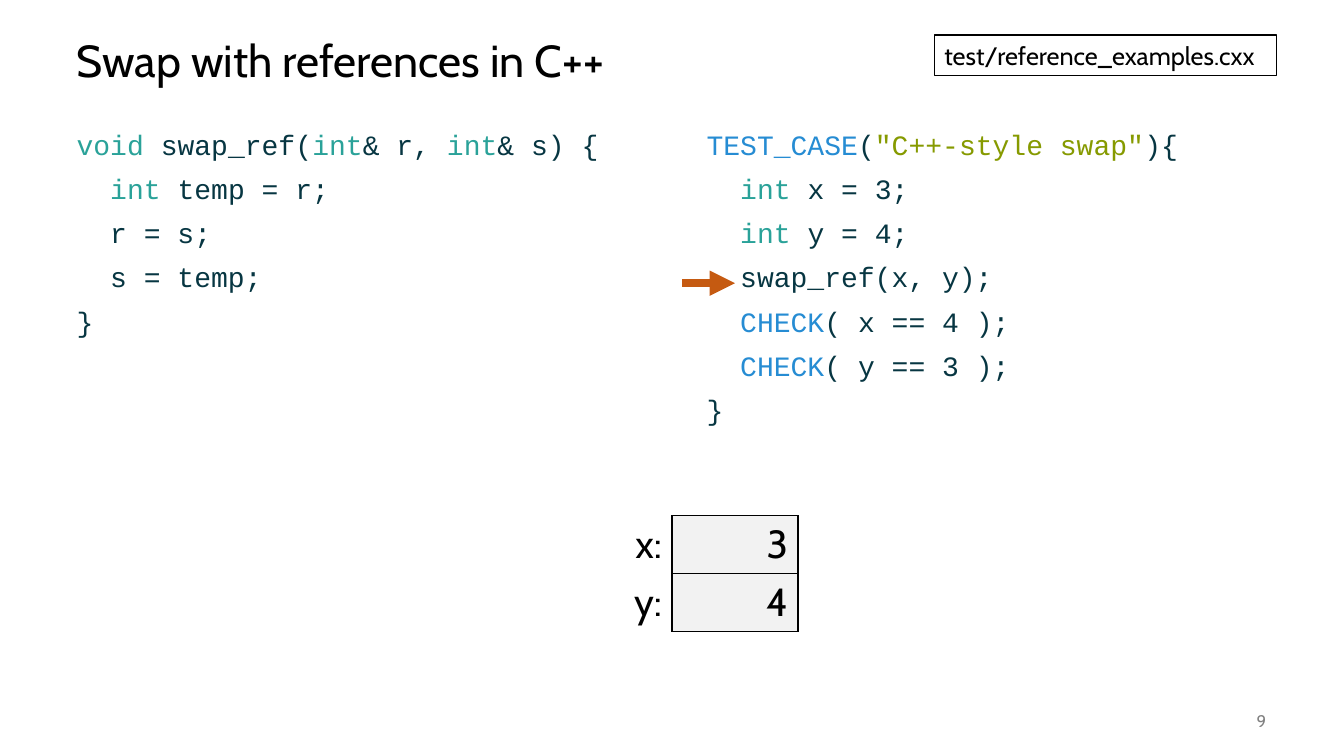
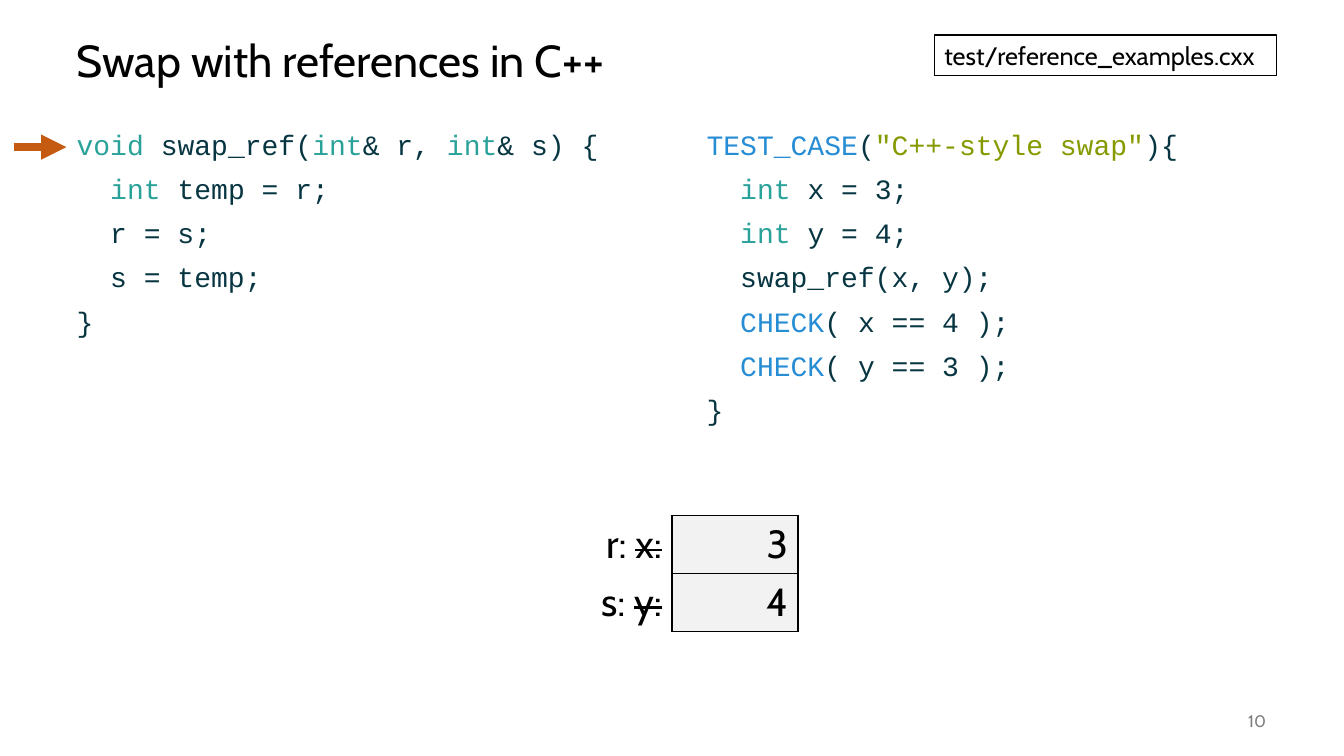
from dataclasses import dataclass

from lxml import etree
from pptx import Presentation
from pptx.dml.color import RGBColor
from pptx.enum.shapes import MSO_CONNECTOR, MSO_SHAPE
from pptx.enum.text import MSO_ANCHOR, MSO_AUTO_SIZE, PP_ALIGN
from pptx.oxml.ns import qn
from pptx.util import Pt

STRAIGHT, RECT = MSO_CONNECTOR.STRAIGHT, MSO_SHAPE.RECTANGLE
TOP, MIDDLE = MSO_ANCHOR.TOP, MSO_ANCHOR.MIDDLE
LEFT, RIGHT = PP_ALIGN.LEFT, PP_ALIGN.RIGHT
NO_TABLE_STYLE = "{2D5ABB26-0587-4C30-8999-92F81FD0307C}"


@dataclass(frozen=True)
class Theme:
    font: str = "Cabin"
    code_font: str = "Courier New"
    ink: str = "000000"
    muted: str = "808080"
    cell: str = "F2F2F2"
    arrow: str = "C55A11"
    code: str = "073642"
    keyword: str = "2AA299"
    macro: str = "268CD3"
    string: str = "869A00"
    title_size: int = 32
    value_size: int = 28
    code_size: int = 20
    file_size: int = 18
    number_size: int = 12


THEME = Theme()

# Content: each code line is a list of (text, colour role) pieces
TITLE = "Swap with references in C++"
FILE_NAME = "test/reference_examples.cxx"
FIRST_NUMBER = 9
SWAP_CODE = [
    [("void ", "keyword"), ("swap_ref(", "code"), ("int", "keyword"),
     ("& r, ", "code"), ("int", "keyword"), ("& s) {", "code")],
    [("  int ", "keyword"), ("temp = r;", "code")],
    [("  r = s;", "code")],
    [("  s = temp;", "code")],
    [("}", "code")],
]
TEST_CODE = [
    [("TEST_CASE", "macro"), ("(", "code"),
     ('"C++‑style swap"', "string"), ("){", "code")],
    [("  int ", "keyword"), ("x = 3;", "code")],
    [("  int ", "keyword"), ("y = 4;", "code")],
    [("  swap_ref(x, y);", "code")],
    [("  CHECK", "macro"), ("( x == 4 );", "code")],
    [("  CHECK", "macro"), ("( y == 3 );", "code")],
    [("}", "code")],
]
# Memory rows: (current name, struck-out name, value); arrow: (tip x, y)
STEPS = [
    {"memory": [("x:", "", "3"), ("y:", "", "4")], "arrow": (525, 202.3)},
    {"memory": [("r: ", "x:", "3"), ("s: ", "y:", "4")], "arrow": (47.5, 105.1)},
]

# Layout
SLIDE_W, SLIDE_H = 960, 540
MARGIN, CONTENT_W, GAP = 47.5, 864, 36
CODE_TOP, CODE_H = 90, 396
CODE_W = (CONTENT_W - GAP) / 2
CODE_SPACING = 10
RIGHT_EDGE = MARGIN + CONTENT_W
FILE_W = 244
NUMBER_W = 72
ARROW_W = 37.7
MEMORY_X, MEMORY_Y, MEMORY_COL, MEMORY_ROW = 390, 368.3, 90, 41.3


def rgb(role):
    return RGBColor.from_string(getattr(THEME, role))


def style(font, size, role="ink", name=THEME.font):
    font.name, font.size = name, Pt(size)
    font.color.rgb = rgb(role)


def place(shape, x, y, w, h):
    shape.left, shape.top, shape.width, shape.height = Pt(x), Pt(y), Pt(w), Pt(h)


def add_title(s):
    title = s.shapes.title
    place(title, MARGIN, 18, CONTENT_W, 54)
    tf = title.text_frame
    tf.text = TITLE
    tf.auto_size, tf.vertical_anchor = MSO_AUTO_SIZE.NONE, MIDDLE
    p = tf.paragraphs[0]
    p.alignment, p.line_spacing = LEFT, 0.9
    style(p.runs[0].font, THEME.title_size)


def add_code(body, x, lines):
    place(body, x, CODE_TOP, CODE_W, CODE_H)
    tf = body.text_frame
    tf.auto_size, tf.vertical_anchor = MSO_AUTO_SIZE.NONE, TOP
    for i, line in enumerate(lines):
        p = tf.add_paragraph() if i else tf.paragraphs[0]
        p.line_spacing, p.space_before = 0.9, Pt(CODE_SPACING if i else 0)
        pPr = p._p.get_or_add_pPr()
        pPr.set("marL", "0")
        pPr.set("indent", "0")
        etree.SubElement(pPr, qn("a:buNone"))
        for text, role in line:
            r = p.add_run()
            r.text = text
            style(r.font, THEME.code_size, role, THEME.code_font)


def add_number(s, number):
    """Add a slide-number field at the bottom right."""
    box = s.shapes.add_textbox(Pt(RIGHT_EDGE - NUMBER_W), Pt(500.5), Pt(NUMBER_W), Pt(29))
    tf = box.text_frame
    tf.word_wrap, tf.vertical_anchor = True, MIDDLE
    p = tf.paragraphs[0]
    p.text = str(number)
    p.alignment = RIGHT
    r = p.runs[0]
    style(r.font, THEME.number_size, "muted")
    field = etree.Element(qn("a:fld"), id="{B6F15528-21DE-4FAA-801E-634DDDAF4B2B}",
                          type="slidenum")
    p._p.replace(r._r, field)
    field.extend(list(r._r))


def add_border(cell, *sides):
    tcPr = cell._tc.get_or_add_tcPr()
    for side in sides:
        ln = etree.SubElement(tcPr, qn(f"a:ln{side}"), w=str(Pt(1)))
        fill = etree.SubElement(ln, qn("a:solidFill"))
        etree.SubElement(fill, qn("a:srgbClr"), val=THEME.ink)


def add_memory(s, rows):
    frame = s.shapes.add_table(len(rows), 2, Pt(MEMORY_X), Pt(MEMORY_Y),
                               Pt(2 * MEMORY_COL), Pt(len(rows) * MEMORY_ROW))
    table = frame.table
    table.first_row = table.horz_banding = False
    next(frame.element.iter(qn("a:tableStyleId"))).text = NO_TABLE_STYLE
    for i, (name, struck, value) in enumerate(rows):
        label, content = table.cell(i, 0), table.cell(i, 1)
        add_border(label, "R")
        add_border(content, "L", "R", "T", "B")
        label.fill.background()
        content.fill.solid()
        content.fill.fore_color.rgb = rgb("cell")
        for cell, pieces in ((label, [name, struck]), (content, [value])):
            p = cell.text_frame.paragraphs[0]
            p.alignment = RIGHT
            for text in filter(None, pieces):
                r = p.add_run()
                r.text = text
                style(r.font, THEME.value_size)
                if text == struck:
                    r.font._element.set("strike", "sngStrike")


def add_arrow(s, tip, y):
    arrow = s.shapes.add_connector(STRAIGHT, Pt(tip - ARROW_W), Pt(y), Pt(tip), Pt(y))
    arrow.line.color.rgb, arrow.line.width = rgb("arrow"), Pt(6)
    etree.SubElement(arrow.line._get_or_add_ln(), qn("a:tailEnd"), type="triangle")
    etree.SubElement(arrow._element.spPr, qn("a:effectLst"))


def add_file_name(s):
    box = s.shapes.add_shape(RECT, Pt(RIGHT_EDGE - FILE_W), Pt(25), Pt(FILE_W), Pt(29))
    box.shadow.inherit = False
    box.fill.background()
    box.line.color.rgb, box.line.width = rgb("ink"), Pt(0.75)
    tf = box.text_frame
    tf.text = FILE_NAME
    tf.word_wrap, tf.vertical_anchor = True, TOP
    p = tf.paragraphs[0]
    p.alignment = LEFT
    style(p.runs[0].font, THEME.file_size)


def main():
    prs = Presentation()
    prs.slide_width, prs.slide_height = Pt(SLIDE_W), Pt(SLIDE_H)
    prs.element.set("firstSlideNum", str(FIRST_NUMBER))
    two_content = prs.slide_layouts[3]
    for number, step in enumerate(STEPS, FIRST_NUMBER):
        s = prs.slides.add_slide(two_content)
        add_title(s)
        add_code(s.placeholders[1], MARGIN, SWAP_CODE)
        add_code(s.placeholders[2], MARGIN + CODE_W + GAP, TEST_CODE)
        add_number(s, number)
        add_memory(s, step["memory"])
        add_arrow(s, *step["arrow"])
        add_file_name(s)
    prs.save("out.pptx")


if __name__ == "__main__":
    main()
